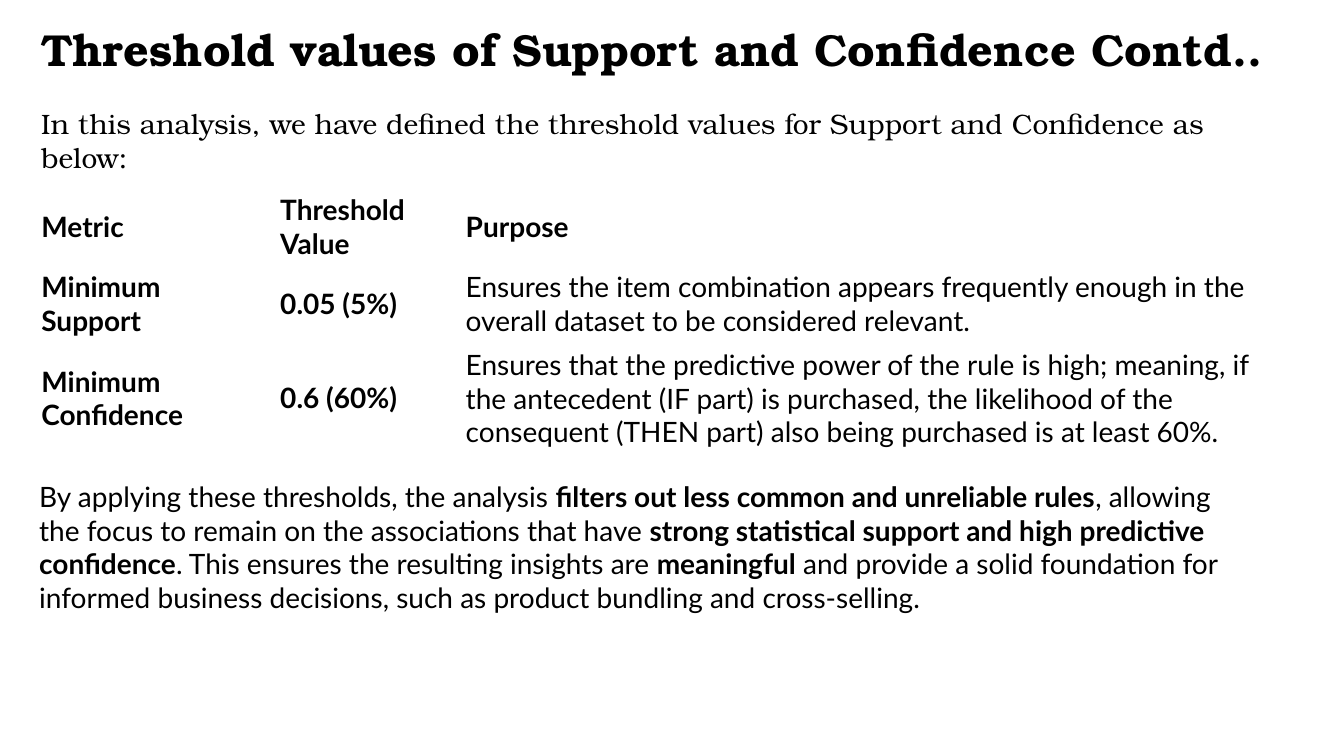
from lxml import etree
from pptx import Presentation
from pptx.dml.color import RGBColor
from pptx.enum.text import MSO_ANCHOR
from pptx.oxml.ns import qn
from pptx.util import Inches, Pt

# Content: each text is a list of (words, bold) runs
TITLE = [("Threshold values of Support and Confidence Contd..", True)]
INTRO = [("In this analysis, we have defined the threshold values for Support "
          "and Confidence as below:", False)]
THRESHOLDS = [
    ("Metric", "Threshold Value", "Purpose"),
    ("Minimum Support", "0.05 (5%)",
     "Ensures the item combination appears frequently enough in the overall "
     "dataset to be considered relevant."),
    ("Minimum Confidence", "0.6 (60%)",
     "Ensures that the predictive power of the rule is high; meaning, if the "
     "antecedent (IF part) is purchased, the likelihood of the consequent "
     "(THEN part) also being purchased is at least 60%."),
]
CONCLUSION = [
    ("By applying these thresholds, the analysis ", False),
    ("filters out less common and unreliable rules", True),
    (", allowing the focus to remain on the associations that have ", False),
    ("strong statistical support and high predictive confidence", True),
    (". This ensures the resulting insights are ", False),
    ("meaningful", True),
    (" and provide a solid foundation for informed business decisions, such as "
     "product bundling and cross-selling.", False),
]

# Style and layout
BLACK = RGBColor(0x00, 0x00, 0x00)
WHITE = RGBColor(0xFF, 0xFF, 0xFF)
SERIF, SANS = "TeX Gyre Bonum", "Lato"
TITLE_SIZE, BODY_SIZE = 32, 20
LEFT = 0.31
COLUMN_WIDTHS = (2.37, 1.84, 8.14)
ROW_HEIGHTS = (0.77, 0.77, 1.09)
BORDER_WIDTH = 0.38


def add_runs(paragraph, runs, font, size):
    for words, bold in runs:
        run = paragraph.add_run()
        run.text = words
        run.font.name = font
        run.font.size = Pt(size)
        run.font.bold = bold
        run.font.color.rgb = BLACK


def add_text(slide, box, runs, font, size, anchor=MSO_ANCHOR.TOP):
    frame = slide.shapes.add_textbox(*map(Inches, box)).text_frame
    frame.word_wrap = True
    frame.vertical_anchor = anchor
    add_runs(frame.paragraphs[0], runs, font, size)
    return frame.paragraphs[0]


def add_borders(cell):
    properties = cell._tc.get_or_add_tcPr()
    for position, side in enumerate(("a:lnL", "a:lnR", "a:lnT", "a:lnB")):
        line = etree.Element(qn(side), w=str(Pt(BORDER_WIDTH)))
        fill = etree.SubElement(line, qn("a:solidFill"))
        etree.SubElement(fill, qn("a:srgbClr"), val=str(WHITE))
        properties.insert(position, line)


def add_thresholds(slide):
    table = slide.shapes.add_table(
        len(ROW_HEIGHTS), len(COLUMN_WIDTHS), Inches(LEFT), Inches(1.86),
        Inches(sum(COLUMN_WIDTHS)), Inches(sum(ROW_HEIGHTS))).table
    for column, width in zip(table.columns, COLUMN_WIDTHS):
        column.width = Inches(width)
    for r, (row, height) in enumerate(zip(THRESHOLDS, ROW_HEIGHTS)):
        table.rows[r].height = Inches(height)
        for c, words in enumerate(row):
            cell = table.cell(r, c)
            cell.fill.background()
            cell.vertical_anchor = MSO_ANCHOR.MIDDLE
            # Header row and the two short columns are bold
            bold = r == 0 or c < 2
            add_runs(cell.text_frame.paragraphs[0], [(words, bold)], SANS, BODY_SIZE)
            add_borders(cell)


def main():
    deck = Presentation()
    deck.slide_width, deck.slide_height = Inches(13.33), Inches(7.5)
    slide = deck.slides.add_slide(deck.slide_layouts[6])

    # Heading and introduction
    heading = add_text(slide, (LEFT, 0.16, 12.53, 0.71), TITLE, SERIF,
                       TITLE_SIZE, MSO_ANCHOR.MIDDLE)
    heading.line_spacing = 0.9
    add_text(slide, (LEFT, 1.01, 12.07, 0.77), INTRO, SERIF, BODY_SIZE)

    # Table and conclusion
    add_thresholds(slide)
    add_text(slide, (0.29, 4.71, 12.11, 1.45), CONCLUSION, SANS, BODY_SIZE)

    deck.save("out.pptx")


if __name__ == "__main__":
    main()
